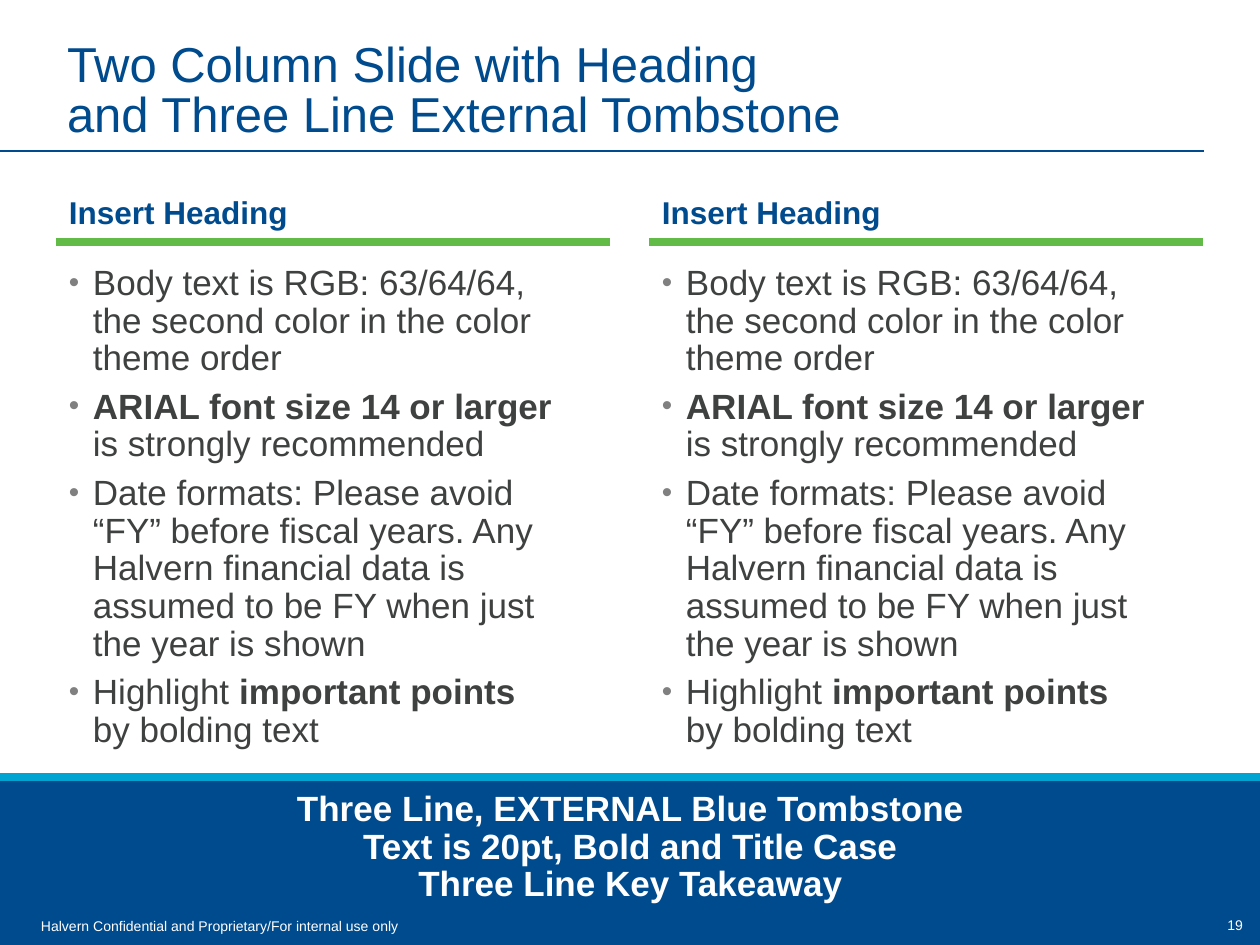
from lxml.etree import SubElement
from pptx import Presentation
from pptx.dml.color import RGBColor
from pptx.enum.shapes import MSO_CONNECTOR, MSO_SHAPE
from pptx.enum.text import MSO_ANCHOR, MSO_AUTO_SIZE, PP_ALIGN
from pptx.oxml.ns import qn
from pptx.util import Pt

PX = 914400 / 126
NAVY, GREEN, CYAN = "004B8D", "62BB46", "00A4D2"
GREY, BODY, WHITE = "808080", "3F4040", "FFFFFF"
TITLE = "Two Column Slide with Heading \nand Three Line External Tombstone"
POINTS = [
    "Body text is RGB: 63/64/64, \nthe second color in the color theme order",
    "**ARIAL font size 14 or larger \n**is strongly recommended",
    "Date formats: Please avoid \n“FY” before fiscal years. Any Halvern financial "
    "data is assumed to be FY when just \nthe year is shown",
    "Highlight **important points \n**by bolding text",
]
TAKEAWAY = [
    "Three Line, EXTERNAL Blue Tombstone",
    "Text is 20pt, Bold and Title Case",
    "Three Line Key Takeaway",
]


def px(n):
    """Turn pixels into EMU."""
    return round(n * PX)


def rgb(code):
    """Turn a hex string into a colour."""
    return RGBColor.from_string(code)


def add_bullet(para):
    """Give a paragraph a hanging grey bullet."""
    props = para._p.get_or_add_pPr()
    props.set("marL", str(px(24)))
    props.set("indent", str(px(-24)))
    color = SubElement(props, qn("a:buClr"))
    SubElement(color, qn("a:srgbClr"), val=GREY)
    SubElement(props, qn("a:buSzPct"), val="85000")
    SubElement(props, qn("a:buFont"), typeface="Arial")
    SubElement(props, qn("a:buChar"), char="•")


def add_runs(para, text, size, color, bold):
    """Add runs, with ** around bold parts and line breaks at newlines."""
    for i, part in enumerate(text.split("**")):
        for j, line in enumerate(part.split("\n")):
            if j:
                para.add_line_break()
            if line:
                run = para.add_run()
                run.text = line
                font = run.font
                font.name, font.size = "Arial", Pt(size)
                font.bold = bold or i % 2 == 1
                font.color.rgb = rgb(color)


def put_text(shape, paras, box, size=20, color=WHITE, bold=False, align=PP_ALIGN.LEFT,
             anchor=MSO_ANCHOR.TOP, inset=(13, 6, 13, 6), lead=0.9, gap=0, bullet=False):
    """Place a shape and fill it with formatted paragraphs."""
    shape.left, shape.top, shape.width, shape.height = map(px, box)
    frame = shape.text_frame
    frame.word_wrap, frame.auto_size = True, MSO_AUTO_SIZE.NONE
    frame.vertical_anchor = anchor
    (frame.margin_left, frame.margin_top,
     frame.margin_right, frame.margin_bottom) = map(px, inset)
    for i, text in enumerate(paras):
        para = frame.add_paragraph() if i else frame.paragraphs[0]
        para.alignment, para.line_spacing = align, lead
        para.space_before, para.space_after = Pt(gap if i else 0), Pt(gap)
        if bullet:
            add_bullet(para)
        add_runs(para, text, size, color, bold)


def add_text(slide, paras, box, **form):
    """Add a text box."""
    put_text(slide.shapes.add_textbox(0, 0, 0, 0), paras, box, **form)


def add_rule(slide, left, right, top, color, width):
    """Add a level line."""
    line = slide.shapes.add_connector(
        MSO_CONNECTOR.STRAIGHT, px(left), px(top), px(right), px(top))
    line.line.color.rgb, line.line.width = rgb(color), Pt(width)
    SubElement(line._element.spPr, qn("a:effectLst"))


def add_band(slide, box, color):
    """Add a plain filled band."""
    band = slide.shapes.add_shape(MSO_SHAPE.RECTANGLE, *map(px, box))
    band.shadow.inherit = False
    band.fill.solid()
    band.fill.fore_color.rgb = rgb(color)
    band.line.fill.background()


def add_column(slide, left):
    """Add a heading, its rule and the bullets below."""
    wide = 554
    add_text(slide, ["Insert Heading"], (left, 168, wide, 63), size=18, color=NAVY,
             bold=True, anchor=MSO_ANCHOR.BOTTOM, inset=(13, 13, 13, 0), gap=3)
    add_text(slide, POINTS, (left, 252, wide, 504), color=BODY,
             inset=(13, 13, 13, 6), gap=3, bullet=True)
    add_rule(slide, left, left + wide, 242, GREEN, 4.5)


def main():
    """Build the slide and save it."""
    deck = Presentation()
    deck.slide_width, deck.slide_height = px(1260), px(945)
    slide = deck.slides.add_slide(deck.slide_layouts[5])
    put_text(slide.shapes.title, [TITLE], (54, 18, 1152, 131), size=28, color=NAVY,
             anchor=MSO_ANCHOR.BOTTOM, lead=0.85)
    add_rule(slide, 0, 1204, 151, NAVY, 0.75)
    add_band(slide, (0, 777, 1260, 168), NAVY)
    add_rule(slide, 0, 1260, 777, CYAN, 4.5)
    for left in (56, 649):
        add_column(slide, left)
    add_text(slide, TAKEAWAY, (15, 791, 1231, 120), bold=True,
             align=PP_ALIGN.CENTER, inset=(13, 0, 13, 6))
    add_text(slide, ["Halvern Confidential and Proprietary/For internal use only"],
             (28, 911, 1149, 34), size=8, lead=1)
    add_text(slide, ["19"], (1182, 911, 74, 27), size=8, lead=1,
             align=PP_ALIGN.RIGHT, anchor=MSO_ANCHOR.MIDDLE)
    deck.save("out.pptx")


if __name__ == "__main__":
    main()
